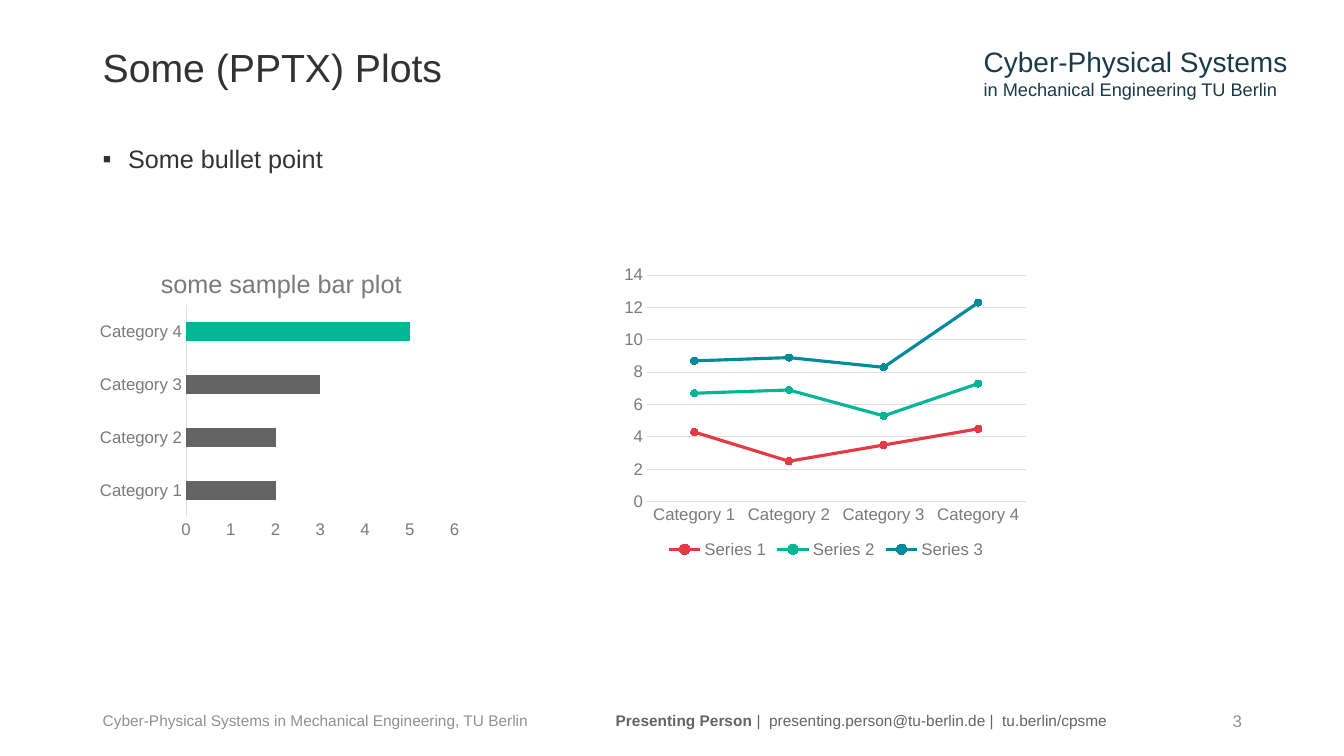
from lxml import etree
from pptx import Presentation
from pptx.chart.data import CategoryChartData
from pptx.dml.color import RGBColor
from pptx.enum.chart import XL_CHART_TYPE, XL_LEGEND_POSITION, XL_MARKER_STYLE, XL_TICK_MARK
from pptx.enum.text import MSO_ANCHOR, PP_ALIGN
from pptx.oxml.ns import qn
from pptx.util import Cm, Pt

BAR, LINE = XL_CHART_TYPE.BAR_CLUSTERED, XL_CHART_TYPE.LINE_MARKERS_STACKED
BOTTOM, CIRCLE, NO_TICK = XL_LEGEND_POSITION.BOTTOM, XL_MARKER_STYLE.CIRCLE, XL_TICK_MARK.NONE
TOP, MIDDLE = MSO_ANCHOR.TOP, MSO_ANCHOR.MIDDLE
LEFT, CENTER, RIGHT = PP_ALIGN.LEFT, PP_ALIGN.CENTER, PP_ALIGN.RIGHT

FONT = "Arial"
COLORS = {
    "ink": "323232", "gray": "646464", "label": "7A7A7A", "footer": "909090",
    "grid": "E0E0E0", "navy": "1A3A48", "red": "E63946", "green": "00B695", "teal": "008B9A",
}
MARGIN = 2.34
CATEGORIES = ["Category 1", "Category 2", "Category 3", "Category 4"]
BAR_VALUES = [2, 2, 3, 5]
LINE_SERIES = [
    ("Series 1", [4.3, 2.5, 3.5, 4.5], "red"),
    ("Series 2", [2.4, 4.4, 1.8, 2.8], "green"),
    ("Series 3", [2, 2, 3, 5], "teal"),
]


def rgb(name):
    return RGBColor.from_string(COLORS[name])


def set_font(font, size, color, bold=False):
    font.name = FONT
    font.size = Pt(size)
    font.bold = bold
    font.color.rgb = rgb(color)


def add_bullet(paragraph, indent):
    properties = paragraph._p.get_or_add_pPr()
    properties.set("marL", str(Cm(indent)))
    properties.set("indent", str(-Cm(indent)))
    etree.SubElement(properties, qn("a:buFont"), typeface=FONT)
    etree.SubElement(properties, qn("a:buChar"), char="▪")


def add_text(slide, box, text, size=11, color="ink", align=LEFT, anchor=MIDDLE,
             spacing=None, bullet=False):
    frame = slide.shapes.add_textbox(*map(Cm, box)).text_frame
    frame.word_wrap = True
    frame.vertical_anchor = anchor
    lines = [[(text, size, False)]] if isinstance(text, str) else text
    for index, line in enumerate(lines):
        paragraph = frame.add_paragraph() if index else frame.paragraphs[0]
        paragraph.alignment = align
        if spacing:
            paragraph.line_spacing = spacing
        if bullet:
            add_bullet(paragraph, 0.64)
        for words, points, bold in line:
            run = paragraph.add_run()
            run.text = words
            set_font(run.font, points, color, bold)


def place_inside(part, index, **fractions):
    for old in part.findall(qn("c:layout")):
        part.remove(old)
    layout = etree.Element(qn("c:layout"))
    part.insert(index, layout)
    manual = etree.SubElement(layout, qn("c:manualLayout"))
    if "w" in fractions:
        etree.SubElement(manual, qn("c:layoutTarget"), val="inner")
    for mode in ("xMode", "yMode"):
        etree.SubElement(manual, qn("c:" + mode), val="edge")
    for key, value in fractions.items():
        etree.SubElement(manual, qn("c:" + key), val=str(value))


def add_plot(slide, box, kind, series, plot_area):
    data = CategoryChartData()
    data.categories = CATEGORIES
    for name, values, _ in series:
        data.add_series(name, values)
    chart = slide.shapes.add_chart(kind, *map(Cm, box), data).chart
    set_font(chart.font, 10, "ink")
    chart.has_title = chart.has_legend = False
    for axis in (chart.category_axis, chart.value_axis):
        axis.major_tick_mark = axis.minor_tick_mark = NO_TICK
        axis.has_major_gridlines = False
        set_font(axis.tick_labels.font, 12, "label")
    axis_line = chart.category_axis.format.line
    axis_line.color.rgb = rgb("grid")
    axis_line.width = Pt(0.75)
    chart.value_axis.format.line.fill.background()
    chart.plots[0].vary_by_categories = False
    area = chart._chartSpace.chart.plotArea
    place_inside(area, 0, **plot_area)
    return chart


def add_bar_plot(slide, box):
    series = [("Series 1", BAR_VALUES, "green")]
    chart = add_plot(slide, box, BAR, series, dict(x=0.25, y=0.2, w=0.72, h=0.7))
    chart.has_title = True
    title = chart.chart_title.text_frame.paragraphs[0].add_run()
    title.text = "some sample bar plot"
    set_font(title.font, 18, "label")
    place_inside(chart.chart_title._element, 1, x=0.17, y=0.06)
    chart.plots[0].gap_width = 182
    bars = chart.plots[0].series[0]
    bars.format.fill.solid()
    bars.format.fill.fore_color.rgb = rgb("green")
    for index in range(len(BAR_VALUES) - 1):
        fill = bars.points[index].format.fill
        fill.solid()
        fill.fore_color.rgb = rgb("gray")


def add_line_plot(slide, box):
    chart = add_plot(slide, box, LINE, LINE_SERIES, dict(x=0.07, y=0.05, w=0.91, h=0.75))
    chart.value_axis.has_major_gridlines = True
    grid = chart.value_axis.major_gridlines.format.line
    grid.color.rgb = rgb("grid")
    grid.width = Pt(0.75)
    chart.has_legend = True
    chart.legend.position = BOTTOM
    chart.legend.include_in_layout = False
    set_font(chart.legend.font, 12, "label")
    for curve, (_, _, color) in zip(chart.plots[0].series, LINE_SERIES):
        curve.smooth = False
        curve.format.line.color.rgb = rgb(color)
        curve.format.line.width = Pt(2.25)
        curve.marker.style = CIRCLE
        curve.marker.size = 5
        curve.marker.format.fill.solid()
        curve.marker.format.fill.fore_color.rgb = rgb(color)
        curve.marker.format.line.color.rgb = rgb(color)


def add_header(slide, left, top, width):
    add_text(slide, (left, top, width, 1.9), "Some (PPTX) Plots", size=28, spacing=0.9)
    department = [
        [("Cyber-Physical Systems", 20, False)],
        [("in Mechanical Engineering TU Berlin", 13, False)],
    ]
    add_text(slide, (left + 22.2, top + 0.18, 8.59, 1.68), department, color="navy", anchor=TOP)


def add_footer(slide, left, top, width):
    height = 1.02
    add_text(slide, (left, top, 11.51, height),
             "Cyber-Physical Systems in Mechanical Engineering, TU Berlin", color="footer")
    contact = [[
        ("Presenting Person ", 11, True),
        ("|  presenting.person@tu-berlin.de |  tu.berlin/cpsme", 11, False),
    ]]
    add_text(slide, (left + 11.83, top, 15.09, height), contact, color="gray", align=CENTER)
    number_width = 1.93
    add_text(slide, (left + width - number_width, top, number_width, height), "3",
             size=12, color="footer", align=RIGHT)


def main():
    deck = Presentation()
    deck.slide_width, deck.slide_height = Cm(33.87), Cm(19.05)
    slide = deck.slides.add_slide(deck.slide_layouts[6])
    content_width = 29.21
    add_header(slide, MARGIN, 0.81, content_width)
    add_text(slide, (MARGIN, 3.58, content_width, 13.56), "Some bullet point",
             size=18, anchor=TOP, spacing=0.9, bullet=True)
    add_bar_plot(slide, (MARGIN, 6.17, 9.4, 7.62))
    add_line_plot(slide, (15.57, 6.55, 10.49, 7.62))
    add_footer(slide, MARGIN, 17.65, content_width)
    deck.save("out.pptx")


if __name__ == "__main__":
    main()
